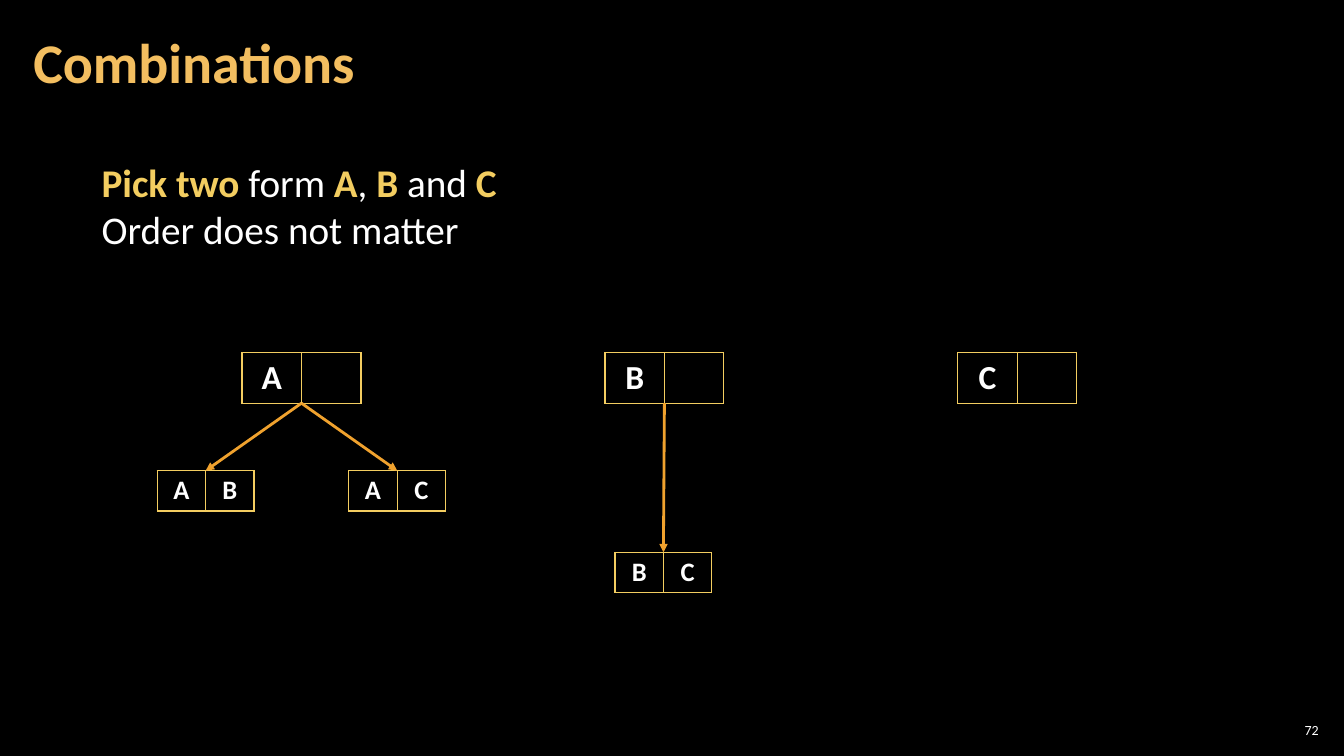
"""Build a slide showing the combinations of two items out of A, B and C."""
from dataclasses import dataclass

from lxml import etree
from pptx import Presentation
from pptx.dml.color import RGBColor
from pptx.enum.shapes import MSO_CONNECTOR
from pptx.enum.text import MSO_ANCHOR, MSO_AUTO_SIZE, PP_ALIGN
from pptx.oxml.ns import qn
from pptx.util import Inches, Pt

STRAIGHT = MSO_CONNECTOR.STRAIGHT
MIDDLE = MSO_ANCHOR.MIDDLE
LEFT, CENTER, RIGHT = PP_ALIGN.LEFT, PP_ALIGN.CENTER, PP_ALIGN.RIGHT

TITLE = "Combinations"
PAGE_NUMBER = "72"
RULES = [
    [("Pick two ", True), ("form ", False), ("A", True), (", ", False),
     ("B", True), (" and ", False), ("C", True)],
    [("Order does not matter", False)],
]
TREES = [
    {"pick": ("A", ""), "center": 2.99,
     "pairs": [(("A", "B"), 2.04, 4.67), (("A", "C"), 3.94, 4.67)]},
    {"pick": ("B", ""), "center": 6.59, "pairs": [(("B", "C"), 6.58, 5.48)]},
    {"pick": ("C", ""), "center": 10.09, "pairs": []},
]
PICK_TOP = 3.5


@dataclass(frozen=True)
class Theme:
    font: str = "Calibri"
    background: str = "000000"
    text: str = "FFFFFF"
    title: str = "F3BE60"
    accent: str = "F3CD60"
    arrow: str = "F0A22E"
    title_size: int = 40
    rule_size: int = 28
    number_size: int = 10
    border: int = 1
    arrow_width: int = 2


@dataclass(frozen=True)
class CellStyle:
    width: float
    height: float
    size: int
    side_margin: float
    end_margin: float


THEME = Theme()
PICK = CellStyle(0.59, 0.5, 24, 0.1, 0.05)
PAIR = CellStyle(0.48, 0.4, 19, 0.08, 0.04)


def style_font(font, size, color, bold=False):
    font.name = THEME.font
    font.size = Pt(size)
    font.bold = bold
    font.color.rgb = RGBColor.from_string(color)


def set_margins(target, side, end):
    target.margin_left = target.margin_right = Inches(side)
    target.margin_top = target.margin_bottom = Inches(end)


def add_border(cell):
    properties = cell._tc.get_or_add_tcPr()
    for edge in ("a:lnL", "a:lnR", "a:lnT", "a:lnB"):
        line = etree.SubElement(properties, qn(edge), w=str(Pt(THEME.border)))
        fill = etree.SubElement(line, qn("a:solidFill"))
        etree.SubElement(fill, qn("a:srgbClr"), val=THEME.accent)


def add_boxes(page, letters, center, top, style):
    width = style.width * len(letters)
    frame = page.shapes.add_table(
        1, len(letters), Inches(center - width / 2), Inches(top),
        Inches(width), Inches(style.height))
    table = frame.table
    table.first_row = table.horz_banding = False
    for column, letter in enumerate(letters):
        table.columns[column].width = Inches(style.width)
        cell = table.cell(0, column)
        set_margins(cell, style.side_margin, style.end_margin)
        add_border(cell)
        cell.fill.background()
        para = cell.text_frame.paragraphs[0]
        para.text = letter
        para.alignment = CENTER
        style_font(para.font, style.size, THEME.text, True)
        for span in para.runs:
            style_font(span.font, style.size, THEME.text, True)


def add_arrow(page, start, end):
    arrow = page.shapes.add_connector(STRAIGHT, *map(Inches, start + end))
    arrow.line.color.rgb = RGBColor.from_string(THEME.arrow)
    arrow.line.width = Pt(THEME.arrow_width)
    etree.SubElement(arrow.line._get_or_add_ln(), qn("a:tailEnd"), type="triangle")
    etree.SubElement(arrow._element.spPr, qn("a:effectLst"))


def add_title(page):
    title = page.shapes.title
    title.left, title.top, title.width, title.height = map(
        Inches, (0.21, 0.04, 10.47, 1.21))
    frame = title.text_frame
    frame.text = TITLE
    frame.auto_size = MSO_AUTO_SIZE.NONE
    frame.vertical_anchor = MIDDLE
    set_margins(frame, 0.12, 0.04)
    para = frame.paragraphs[0]
    para.alignment = LEFT
    para.line_spacing = 0.9
    style_font(para.runs[0].font, THEME.title_size, THEME.title, True)


def add_rules(page):
    box = page.shapes.add_textbox(*map(Inches, (0.91, 1.52, 4.16, 1.04)))
    frame = box.text_frame
    frame.word_wrap = False
    frame.auto_size = MSO_AUTO_SIZE.SHAPE_TO_FIT_TEXT
    for index, spans in enumerate(RULES):
        para = frame.add_paragraph() if index else frame.paragraphs[0]
        for text, strong in spans:
            span = para.add_run()
            span.text = text
            color = THEME.accent if strong else THEME.text
            style_font(span.font, THEME.rule_size, color, strong)


def add_page_number(page):
    box = page.shapes.add_textbox(*map(Inches, (12.65, 7.14, 0.47, 0.21)))
    frame = box.text_frame
    frame.text = PAGE_NUMBER
    frame.word_wrap = True
    frame.vertical_anchor = MIDDLE
    set_margins(frame, 0.04, 0.04)
    para = frame.paragraphs[0]
    para.alignment = RIGHT
    style_font(para.runs[0].font, THEME.number_size, THEME.text)


def main():
    deck = Presentation()
    deck.slide_width, deck.slide_height = Inches(13.33), Inches(7.5)
    page = deck.slides.add_slide(deck.slide_layouts.get_by_name("Title Only"))
    page.background.fill.solid()
    page.background.fill.fore_color.rgb = RGBColor.from_string(THEME.background)
    add_title(page)
    add_rules(page)
    add_page_number(page)
    for tree in TREES:
        add_boxes(page, tree["pick"], tree["center"], PICK_TOP, PICK)
        for letters, center, top in tree["pairs"]:
            add_boxes(page, letters, center, top, PAIR)
            add_arrow(page, (tree["center"], PICK_TOP + PICK.height), (center, top))
    deck.save("out.pptx")


if __name__ == "__main__":
    main()
